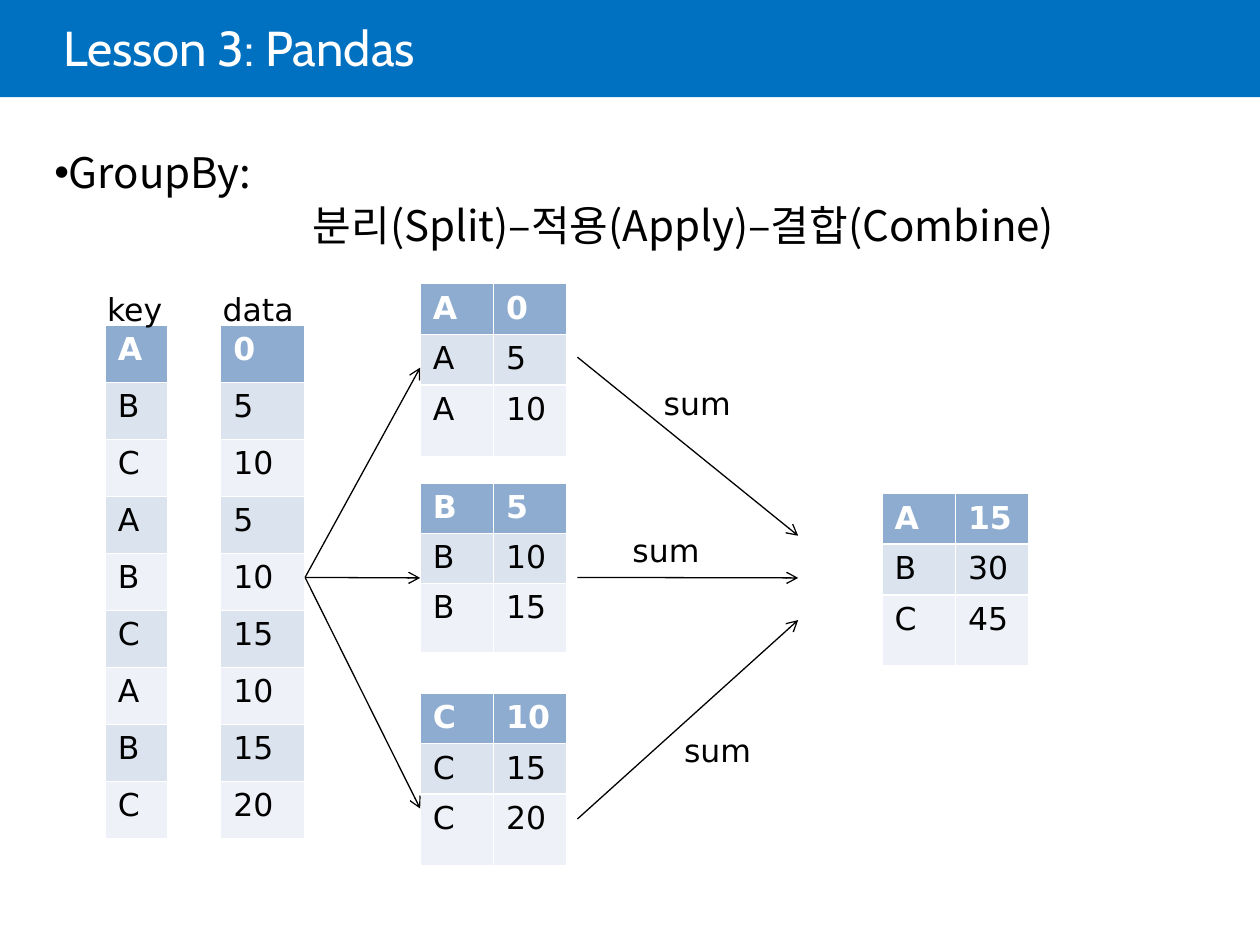
"""Build a slide that explains the pandas GroupBy split-apply-combine steps."""
import lxml.etree
import pptx
import pptx.dml.color
import pptx.enum.shapes
import pptx.enum.text
import pptx.oxml.ns
import pptx.util
from pptx.util import Cm


def color(hex_value):
    return pptx.dml.color.RGBColor.from_string(hex_value)


def set_font(paragraph, name, size, hex_value, bold=False):
    paragraph.font.name = name
    paragraph.font.size = pptx.util.Pt(size)
    paragraph.font.color.rgb = color(hex_value)
    paragraph.font.bold = bold


qualified = pptx.oxml.ns.qn
presentation = pptx.Presentation()
presentation.slide_width = Cm(25.4)
presentation.slide_height = Cm(19.05)
slide = presentation.slides.add_slide(presentation.slide_layouts[1])

banner = slide.shapes.add_shape(
    pptx.enum.shapes.MSO_SHAPE.RECTANGLE, 0, 0, Cm(25.4), Cm(1.96))
banner.shadow.inherit = False
banner.fill.solid()
banner.fill.fore_color.rgb = color("0070C0")
banner.line.fill.background()
slide.shapes._spTree.insert(2, banner._element)

title = slide.shapes.title
title.left, title.top, title.width, title.height = Cm(1.27), Cm(0), Cm(21.59), Cm(2.06)
title.text_frame.text = "Lesson 3: Pandas"
title.text_frame.margin_left = 0
title.text_frame.vertical_anchor = pptx.enum.text.MSO_ANCHOR.MIDDLE
title.text_frame.auto_size = pptx.enum.text.MSO_AUTO_SIZE.NONE
paragraph = title.text_frame.paragraphs[0]
paragraph.alignment = pptx.enum.text.PP_ALIGN.LEFT
paragraph.line_spacing = 0.85
set_font(paragraph, "Cabin", 28, "FFFFFF")

body = slide.placeholders[1]
body.left, body.top, body.width, body.height = Cm(0.84), Cm(2.79), Cm(23.06), Cm(2.31)
body.text_frame.text = "GroupBy:\n분리(Split)–적용(Apply)–결합(Combine)"
body.text_frame.word_wrap = True
body.text_frame.auto_size = pptx.enum.text.MSO_AUTO_SIZE.NONE
for paragraph, indent, bullet in zip(body.text_frame.paragraphs, (0, 5.21), ("•", None)):
    properties = paragraph._p.get_or_add_pPr()
    properties.set("marL", str(Cm(indent)))
    properties.set("indent", "0")
    if bullet:
        lxml.etree.SubElement(properties, qualified("a:buChar"), char=bullet)
    else:
        lxml.etree.SubElement(properties, qualified("a:buNone"))
    paragraph.space_before = pptx.util.Pt(0)
    paragraph.line_spacing = pptx.util.Pt(30)
    set_font(paragraph, "Noto Sans CJK KR", 24, "000000")
    default_run = properties.find(qualified("a:defRPr"))
    lxml.etree.SubElement(default_run, qualified("a:ea"), typeface="Noto Sans CJK KR")

keys = ["A", "B", "C"] * 3
values = [0, 5, 10, 5, 10, 15, 10, 15, 20]
groups = {key: [(key, value) for row_key, value in zip(keys, values) if row_key == key]
          for key in "ABC"}
totals = [(key, sum(value for _, value in rows)) for key, rows in groups.items()]
column_heights = [1.15] * 9
group_heights = [1.02, 1.02, 1.44]
tables = [
    (2.12, 6.56, 1.27, column_heights, [(key,) for key in keys]),
    (4.45, 6.56, 1.69, column_heights, [(value,) for value in values]),
    (8.47, 5.72, 1.48, group_heights, groups["A"]),
    (8.47, 9.74, 1.48, [1.01, 1.01, 1.4], groups["B"]),
    (8.47, 13.97, 1.48, group_heights, groups["C"]),
    (17.78, 9.95, 1.48, group_heights, totals),
]
for left, top, column_width, heights, rows in tables:
    column_count = len(rows[0])
    table = slide.shapes.add_table(
        len(rows), column_count, Cm(left), Cm(top),
        Cm(column_width * column_count), Cm(sum(heights))).table
    for column in table.columns:
        column.width = Cm(column_width)
    for row_index, row in enumerate(rows):
        table.rows[row_index].height = Cm(heights[row_index])
        header = row_index == 0
        fill = "8DACD0" if header else ("EEF1F7", "DBE3EE")[row_index % 2]
        for column_index, value in enumerate(row):
            cell = table.cell(row_index, column_index)
            cell.text = str(value)
            cell.fill.solid()
            cell.fill.fore_color.rgb = color(fill)
            set_font(cell.text_frame.paragraphs[0], "DejaVu Sans", 18,
                     "FFFFFF" if header else "000000", header)

labels = [
    ("key", 1.91, 5.72, 1.65),
    ("data", 4.24, 5.72, 1.93),
    ("sum", 13.13, 7.62, 1.88),
    ("sum", 12.5, 10.59, 1.88),
    ("sum", 13.54, 14.61, 1.88),
]
for text, left, top, width in labels:
    label = slide.shapes.add_textbox(Cm(left), Cm(top), Cm(width), Cm(1.02))
    label.text_frame.text = text
    label.text_frame.word_wrap = False
    set_font(label.text_frame.paragraphs[0], "DejaVu Sans", 18, "000000")

arrows = [
    (6.15, 11.64, 8.47, 7.41),
    (6.15, 11.64, 8.47, 11.65),
    (6.15, 11.64, 8.47, 16.3),
    (11.64, 7.2, 16.09, 10.8),
    (11.64, 11.64, 16.09, 11.65),
    (11.64, 16.51, 16.09, 12.5),
]
for ends in arrows:
    arrow = slide.shapes.add_connector(
        pptx.enum.shapes.MSO_CONNECTOR.STRAIGHT, *(Cm(end) for end in ends))
    arrow.line.color.rgb = color("000000")
    arrow.line.width = pptx.util.Pt(0.75)
    properties = arrow._element.spPr
    lxml.etree.SubElement(properties.find(qualified("a:ln")), qualified("a:tailEnd"), type="arrow")
    lxml.etree.SubElement(properties, qualified("a:effectLst"))

presentation.save("out.pptx")
